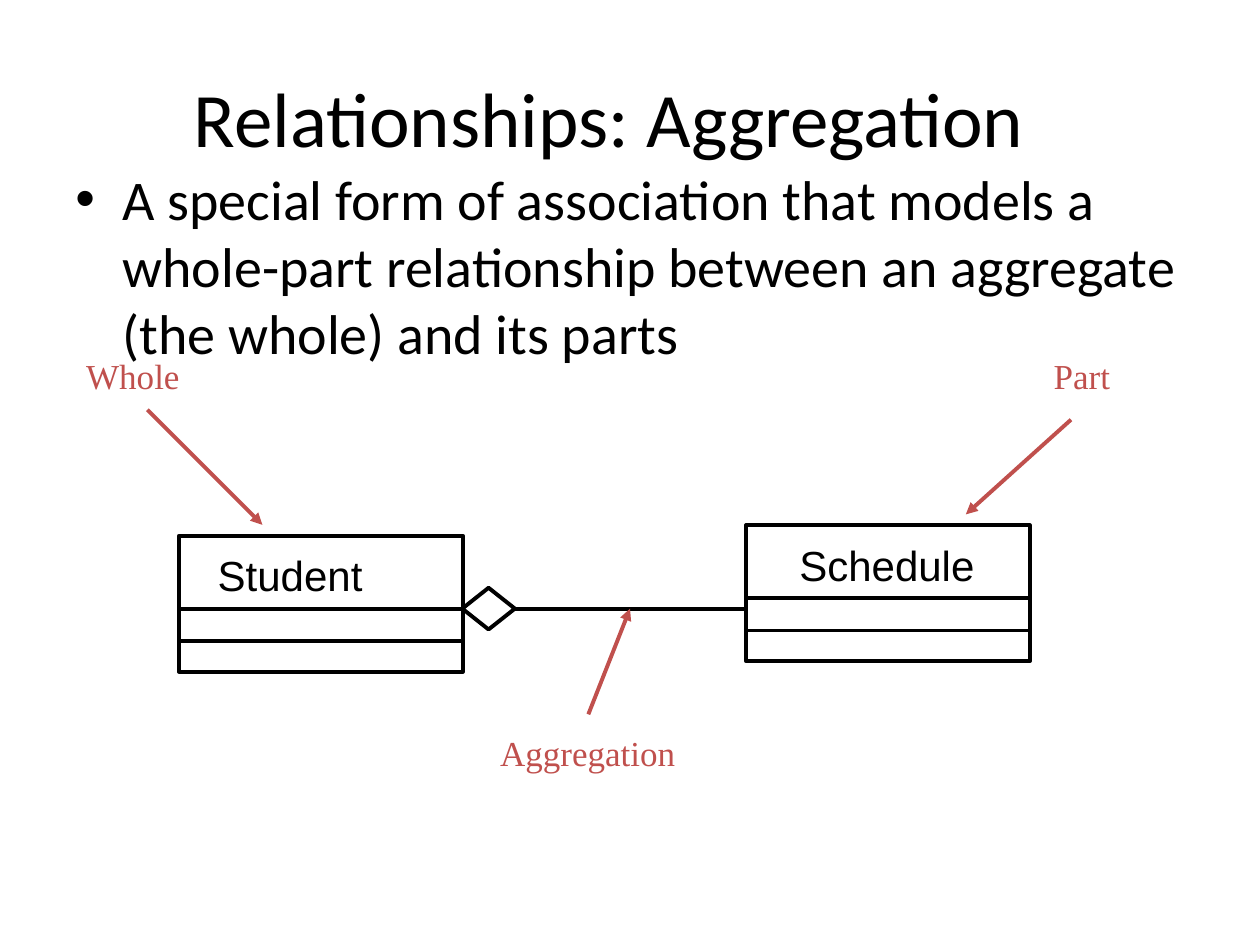
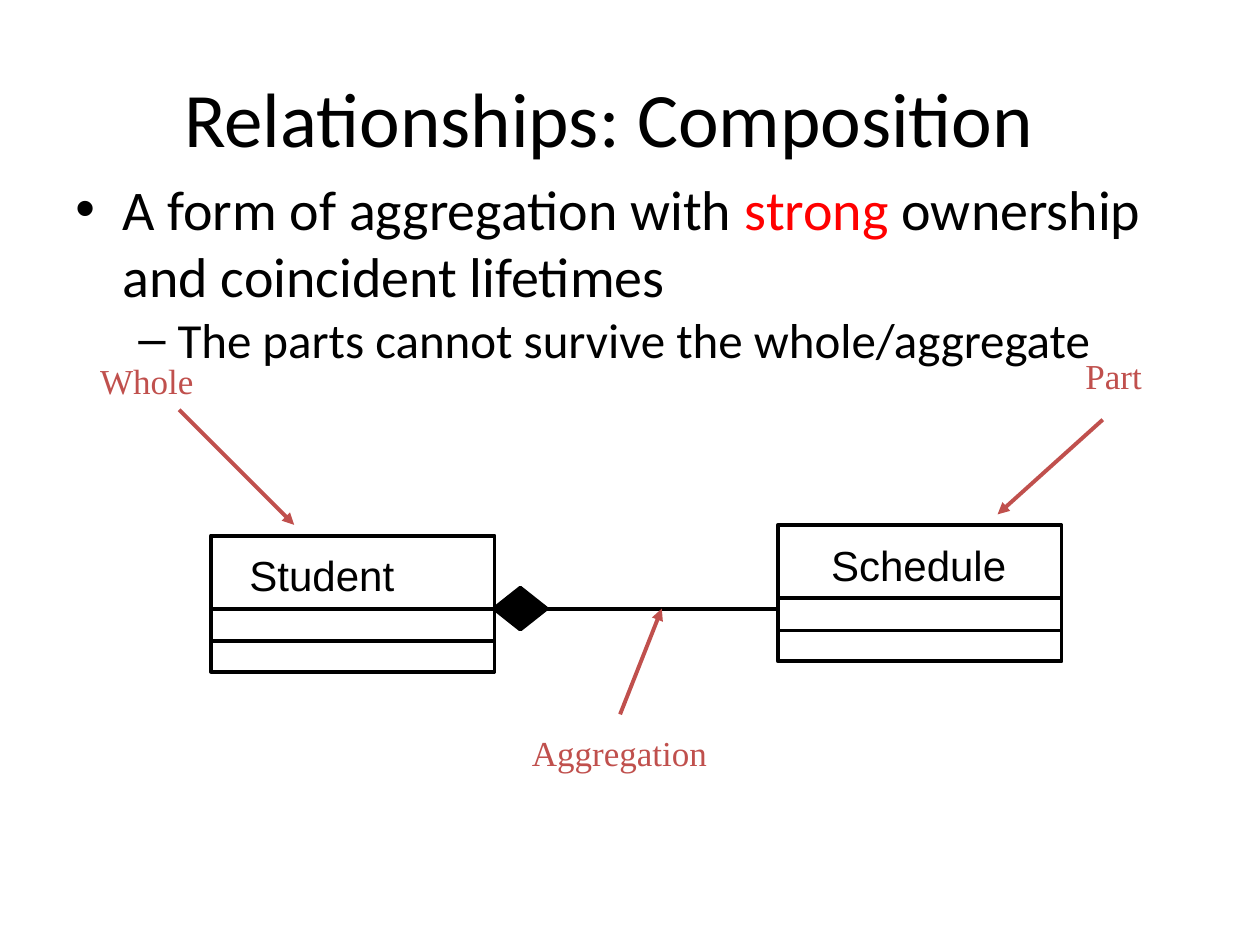
from lxml import etree
from pptx import Presentation
from pptx.dml.color import RGBColor
from pptx.enum.shapes import MSO_CONNECTOR, MSO_SHAPE
from pptx.enum.text import MSO_ANCHOR, PP_ALIGN
from pptx.oxml.ns import qn
from pptx.util import Cm, Pt

LEFT, CENTER = PP_ALIGN.LEFT, PP_ALIGN.CENTER
TOP, MIDDLE = MSO_ANCHOR.TOP, MSO_ANCHOR.MIDDLE
STRAIGHT = MSO_CONNECTOR.STRAIGHT
RECT, DIAMOND = MSO_SHAPE.RECTANGLE, MSO_SHAPE.DIAMOND

COLORS = {"ink": "000000", "note": "C0504D", "strong": "FF0000"}
LINE_W = Pt(2.25)
CLASS_W, CLASS_H = 5.72, 2.74
DIVIDERS = (1.47, 2.12)
LINK_Y = 12.27

# Bullet level: character, text indent in cm, hanging in cm, size
LEVELS = [("•", 0.95, 0.95, 32), ("–", 2.06, 0.79, 28)]

# Class boxes: name, left, top, alignment
CLASSES = [("Student", 3.61, 10.8, LEFT), ("Schedule", 15.04, 10.59, CENTER)]

# Red arrows: from x, from y, to x, to y
ARROWS = [
    (2.97, 8.26, 5.29, 10.58),
    (11.86, 14.4, 12.7, LINK_Y),
    (21.59, 8.46, 19.47, 10.37),
]

# Red labels: text, left, top
LABELS = [("Aggregation", 8.89, 14.6), ("Part", 18.85, 6.99)]
LABEL_W = 5.92

SLIDES = [
    {
        "title": "Relationships: Aggregation",
        "shift": 0,
        "filled": False,
        "whole": (-0.28, 6.99),
        "body_top": 3.18,
        "body": [
            (0, [("A special form of association that models a whole-part "
                  "relationship between an aggregate (the whole) and its parts", "ink")]),
        ],
    },
    {
        "title": "Relationships: Composition",
        "shift": 0.64,
        "filled": True,
        "whole": (0, 7.09),
        "body_top": 3.39,
        "body": [
            (0, [("A form of aggregation with ", "ink"),
                 ("strong", "strong"),
                 (" ownership and coincident lifetimes", "ink")]),
            (1, [("The parts cannot survive the whole/aggregate", "ink")]),
        ],
    },
]


def add_text(shapes, box, paragraphs, font, size=None, align=LEFT, anchor=TOP, inset=(0.25, 0.13)):
    """Add a text box; each paragraph is (bullet level or None, [(text, colour), ...])."""
    tf = shapes.add_textbox(*(Cm(v) for v in box)).text_frame
    tf.word_wrap = True
    tf.vertical_anchor = anchor
    tf.margin_left = tf.margin_right = Cm(inset[0])
    tf.margin_top = tf.margin_bottom = Cm(inset[1])
    for i, (level, runs) in enumerate(paragraphs):
        p = tf.add_paragraph() if i else tf.paragraphs[0]
        p.alignment = align
        run_size = size
        if level is not None:
            char, indent, hanging, run_size = LEVELS[level]
            p.level = level
            pPr = p._p.get_or_add_pPr()
            pPr.set("marL", str(Cm(indent)))
            pPr.set("indent", str(-Cm(hanging)))
            clr = etree.SubElement(pPr, qn("a:buClr"))
            etree.SubElement(clr, qn("a:srgbClr"), val=COLORS["ink"])
            etree.SubElement(pPr, qn("a:buFont"), typeface="Arial")
            etree.SubElement(pPr, qn("a:buChar"), char=char)
        for text, color in runs:
            r = p.add_run()
            r.text = text
            r.font.name = font
            r.font.size = Pt(run_size)
            r.font.color.rgb = RGBColor.from_string(COLORS[color])


def add_line(shapes, x1, y1, x2, y2, color="ink", arrow=False):
    cn = shapes.add_connector(STRAIGHT, Cm(x1), Cm(y1), Cm(x2), Cm(y2))
    cn.line.width = LINE_W
    cn.line.color.rgb = RGBColor.from_string(COLORS[color])
    if arrow:
        etree.SubElement(cn.line._get_or_add_ln(), qn("a:tailEnd"), type="triangle")
    etree.SubElement(cn._element.spPr, qn("a:effectLst"))


prs = Presentation()
prs.slide_width, prs.slide_height = Cm(25.4), Cm(19.05)
ink = RGBColor.from_string(COLORS["ink"])

for data in SLIDES:
    s = prs.slides.add_slide(prs.slide_layouts[6])
    dx = data["shift"]

    # Class boxes, each a group with two dividers
    for name, left, top, align in CLASSES:
        x = left + dx
        group = s.shapes.add_group_shape().shapes
        sp = group.add_shape(RECT, Cm(x), Cm(top), Cm(CLASS_W), Cm(CLASS_H))
        sp.shadow.inherit = False
        sp.fill.background()
        sp.line.color.rgb = ink
        sp.line.width = LINE_W
        add_text(group, (x + 0.53, top + 0.15, 4.62, 1.27),
                 [(None, [(name, "ink")])], "Arial", 24, align)
        for dy in DIVIDERS:
            add_line(group, x, top + dy, x + CLASS_W, top + dy)

    # Link with its diamond
    add_line(s.shapes, 10.37 + dx, LINK_Y, 15.04 + dx, LINK_Y)
    sp = s.shapes.add_shape(DIAMOND, Cm(9.32 + dx), Cm(11.85), Cm(1.06), Cm(0.84))
    sp.shadow.inherit = False
    sp.line.color.rgb = ink
    sp.line.width = LINE_W
    if data["filled"]:
        sp.fill.solid()
        sp.fill.fore_color.rgb = ink
    else:
        sp.fill.background()

    # Red labels and arrows
    labels = [("Whole", *data["whole"])] + [(t, x + dx, y) for t, x, y in LABELS]
    for text, x, y in labels:
        add_text(s.shapes, (x, y, LABEL_W, 1.14), [(None, [(text, "note")])],
                 "Times New Roman", 20, CENTER, inset=(0.3, 0.15))
    for x1, y1, x2, y2 in ARROWS:
        add_line(s.shapes, x1 + dx, y1, x2 + dx, y2, "note", arrow=True)

    # Title and body
    add_text(s.shapes, (1.27, 0.76, 22.02, 3.18), [(None, [(data["title"], "ink")])],
             "Calibri", 44, CENTER, MIDDLE)
    add_text(s.shapes, (1.27, data["body_top"], 22.86, 12.57), data["body"], "Calibri")

prs.save("out.pptx")
